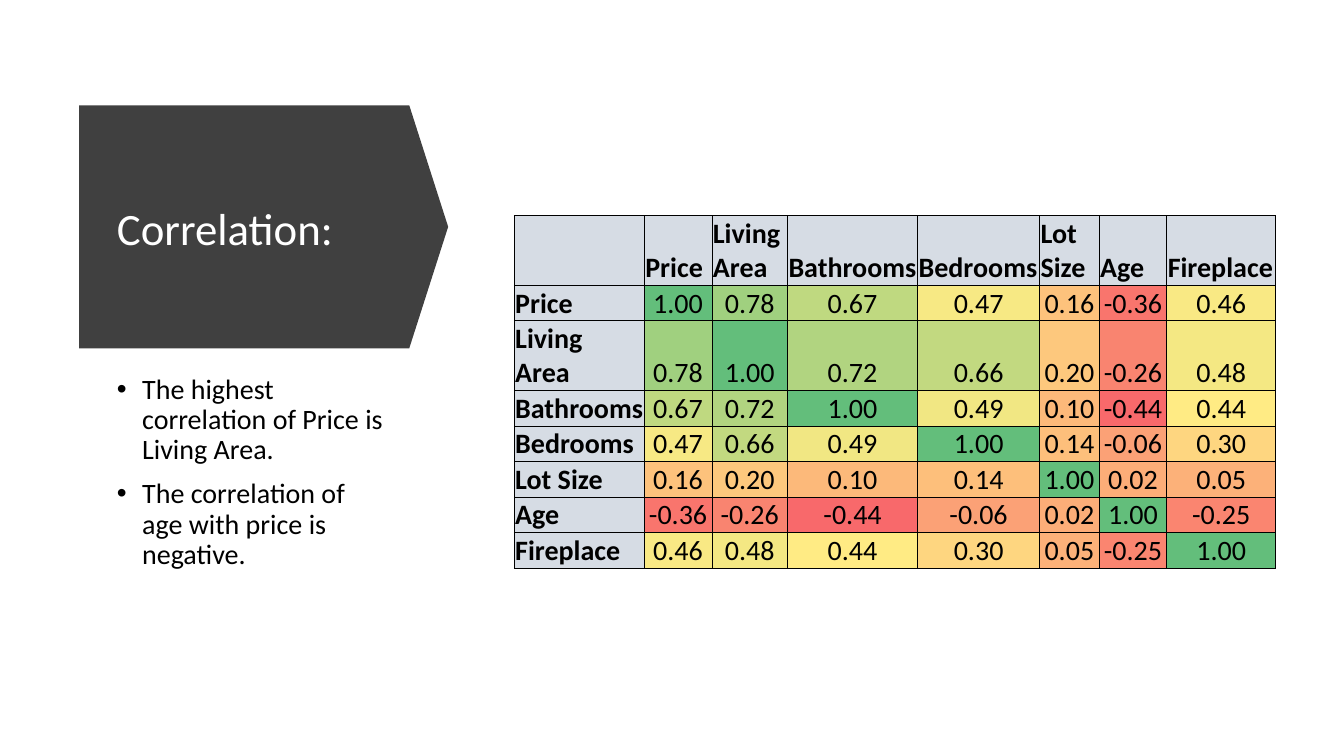
from lxml import etree
from pptx import Presentation
from pptx.dml.color import RGBColor
from pptx.enum.shapes import MSO_SHAPE
from pptx.enum.text import MSO_ANCHOR, MSO_AUTO_SIZE, PP_ALIGN
from pptx.oxml.ns import qn
from pptx.util import Inches, Pt

DOWN_ARROW = MSO_SHAPE.DOWN_ARROW
LEFT, CENTER = PP_ALIGN.LEFT, PP_ALIGN.CENTER
TOP, MIDDLE, BOTTOM = MSO_ANCHOR.TOP, MSO_ANCHOR.MIDDLE, MSO_ANCHOR.BOTTOM
NO_AUTOFIT = MSO_AUTO_SIZE.NONE

BLACK = RGBColor(0x00, 0x00, 0x00)
WHITE = RGBColor(0xFF, 0xFF, 0xFF)
CHARCOAL = RGBColor(0x40, 0x40, 0x40)
HEADER_GRAY = RGBColor(0xD6, 0xDC, 0xE4)
SCALE_RED = RGBColor(0xF8, 0x69, 0x6B)
SCALE_YELLOW = RGBColor(0xFF, 0xEB, 0x84)
SCALE_GREEN = RGBColor(0x63, 0xBE, 0x7B)
LOWEST, MIDPOINT, HIGHEST = -0.44, 0.44, 1.0

VARIABLES = ["Price", "Living Area", "Bathrooms", "Bedrooms", "Lot Size", "Age", "Fireplace"]
# Lower triangle of the symmetric correlation matrix
CORRELATIONS = [
    [1.00],
    [0.78, 1.00],
    [0.67, 0.72, 1.00],
    [0.47, 0.66, 0.49, 1.00],
    [0.16, 0.20, 0.10, 0.14, 1.00],
    [-0.36, -0.26, -0.44, -0.06, 0.02, 1.00],
    [0.46, 0.48, 0.44, 0.30, 0.05, -0.25, 1.00],
]
FINDINGS = [
    "The highest correlation of Price is Living Area.",
    "The correlation of age with price is negative.",
]

presentation = Presentation()
presentation.slide_width = Inches(13.33)
presentation.slide_height = Inches(7.5)
COLUMN = presentation.slide_width / 100
ROW = presentation.slide_height / 100


def write_text(paragraph, text, size=20, color=BLACK, bold=False, align=LEFT, line_spacing=None):
    paragraph.alignment = align
    paragraph.line_spacing = line_spacing
    run = paragraph.add_run()
    run.text = text
    run.font.name = "Calibri"
    run.font.size = Pt(size)
    run.font.bold = bold
    run.font.color.rgb = color


def scale_color(value):
    """Return the red-yellow-green colour for a correlation."""
    if value < MIDPOINT:
        start, end = SCALE_RED, SCALE_YELLOW
        share = (value - LOWEST) / (MIDPOINT - LOWEST)
    else:
        start, end = SCALE_YELLOW, SCALE_GREEN
        share = (value - MIDPOINT) / (HIGHEST - MIDPOINT)
    return RGBColor(*(round(a + (b - a) * share) for a, b in zip(start, end)))


slide = presentation.slides.add_slide(presentation.slide_layouts[1])
title, body = slide.shapes.title, slide.placeholders[1]

# Title banner, behind the title text
banner = slide.shapes.add_shape(
    DOWN_ARROW, int(10.58 * COLUMN), int(5.6 * ROW), int(18.08 * COLUMN), int(48.8 * ROW))
banner.rotation = 270
banner.adjustments[0] = 1
banner.adjustments[1] = 0.16
banner.shadow.inherit = False
banner.fill.solid()
banner.fill.fore_color.rgb = CHARCOAL
banner.line.fill.background()
title._element.addprevious(banner._element)

# Title and findings share one column
for placeholder, top, height, anchor in [(title, 17.6, 26, MIDDLE), (body, 48.93, 35.33, TOP)]:
    placeholder.left, placeholder.width = int(7.95 * COLUMN), int(21.9 * COLUMN)
    placeholder.top, placeholder.height = int(top * ROW), int(height * ROW)
    placeholder.text_frame.word_wrap = True
    placeholder.text_frame.auto_size = NO_AUTOFIT
    placeholder.text_frame.vertical_anchor = anchor

write_text(title.text_frame.paragraphs[0], "Correlation:", size=32, color=WHITE, line_spacing=0.9)

for index, finding in enumerate(FINDINGS):
    paragraph = body.text_frame.add_paragraph() if index else body.text_frame.paragraphs[0]
    write_text(paragraph, finding, line_spacing=0.9)
    paragraph.space_before = Pt(10)
    properties = paragraph._p.get_or_add_pPr()
    properties.set("marL", str(Inches(0.25)))
    properties.set("indent", str(-Inches(0.25)))
    etree.SubElement(properties, qn("a:buFont"), typeface="Arial")
    etree.SubElement(properties, qn("a:buChar"), char="•")

# Correlation table
column_widths = [9.68, 5.03, 5.63, 9.68, 9.08, 4.43, 5.03, 8.1]
row_heights = [8.67] + [4.7] * len(VARIABLES)
table = slide.shapes.add_table(
    len(row_heights), len(column_widths), int(38.26 * COLUMN), int(28.53 * ROW),
    int(sum(column_widths) * COLUMN), int(sum(row_heights) * ROW)).table
for column, width in zip(table.columns, column_widths):
    column.width = int(width * COLUMN)
for row, height in zip(table.rows, row_heights):
    row.height = int(height * ROW)

labels = [""] + VARIABLES
for row_index, row in enumerate(table.rows):
    for column_index, cell in enumerate(row.cells):
        cell.margin_left = cell.margin_right = cell.margin_top = Inches(0.01)
        cell.margin_bottom = 0
        cell.vertical_anchor = BOTTOM
        for side in ("L", "R", "T", "B"):
            border = etree.SubElement(cell._tc.get_or_add_tcPr(), qn("a:ln" + side), w=str(Pt(0.5)))
            border_fill = etree.SubElement(border, qn("a:solidFill"))
            etree.SubElement(border_fill, qn("a:srgbClr"), val=str(BLACK))
        paragraph = cell.text_frame.paragraphs[0]
        cell.fill.solid()
        if row_index and column_index:
            low, high = sorted((row_index, column_index))
            value = CORRELATIONS[high - 1][low - 1]
            cell.fill.fore_color.rgb = scale_color(value)
            write_text(paragraph, f"{value:.2f}", align=CENTER)
        else:
            cell.fill.fore_color.rgb = HEADER_GRAY
            label = labels[row_index + column_index]
            if label:
                write_text(paragraph, label, bold=True)

presentation.save("out.pptx")
